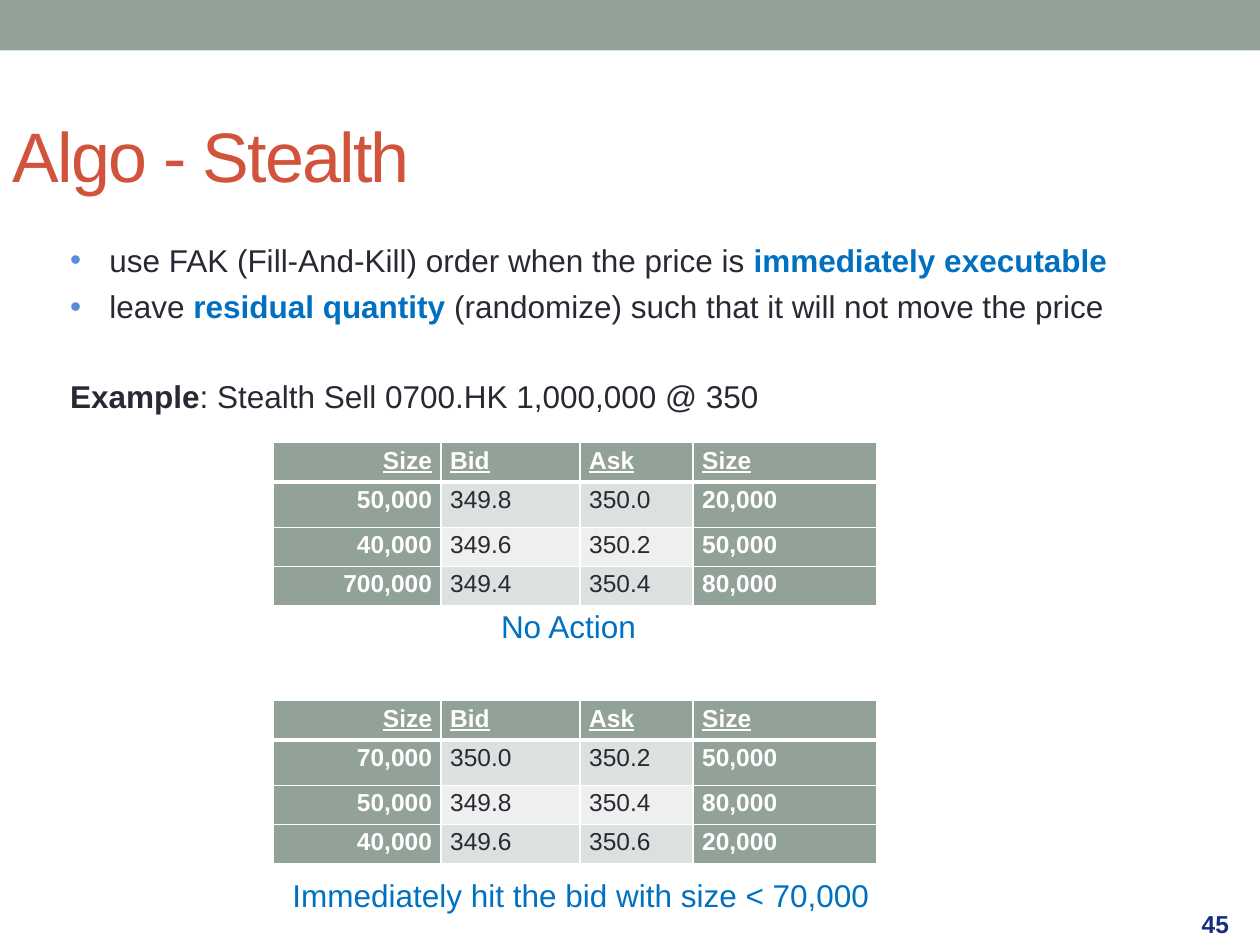
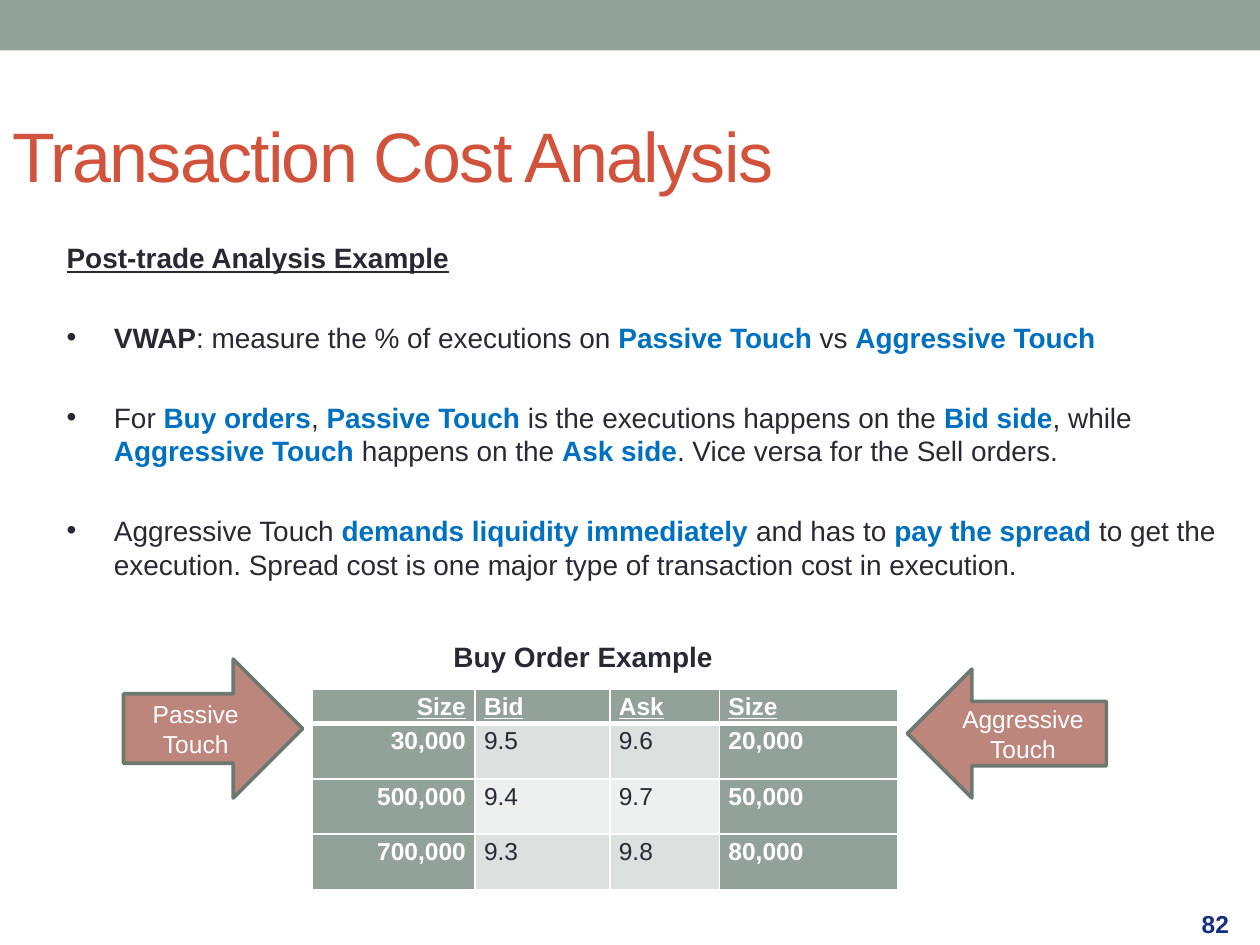
"""Build two slides on trading algorithms and transaction costs."""
from lxml import etree
from pptx import Presentation
from pptx import util as u
from pptx.dml.color import RGBColor
from pptx.enum import shapes, text
from pptx.oxml import ns

FONT = "Arial"
SAGE, RUST, INK, BLUE = "93A299", "D2533C", "292934", "0070C0"
NAVY, WHITE, BULLET = "152E82", "FFFFFF", "578CDA"
CLAY, SLATE, BANDS = "BD867C", "6D7871", ("DCE0DE", "EEF0EF")

KEY = dict(color=BLUE, bold=True)
STRONG = dict(bold=True)
HEADING = dict(bold=True, underline=True)
PLAIN = {}

BOOK_HEADER = ("Size", "Bid", "Ask", "Size")
BOOK_COLUMNS = (95.7, 79.4, 64.6, 105.1)

STEALTH = dict(
    title="Algo - Stealth",
    page="45",
    body=dict(box=(33, 134, 641, 104), size=18, hang=22.4, bullet_color=BULLET),
    points=[
        (0, True, [("use FAK (Fill-And-Kill) order when the price is ", PLAIN),
                   ("immediately executable", KEY)]),
        (5, True, [("leave ", PLAIN), ("residual quantity ", KEY),
                   ("(randomize) such that it will not move the price", PLAIN)]),
        (29.6, False, [("Example", STRONG),
                       (": Stealth Sell 0700.HK 1,000,000 @ 350", PLAIN)]),
    ],
    books=[
        dict(at=(156.4, 253), scale=1, heights=(22.4, 26, 22.4, 22.4), rows=[
            ("50,000", "349.8", "350.0", "20,000"),
            ("40,000", "349.6", "350.2", "50,000"),
            ("700,000", "349.4", "350.4", "80,000")]),
        dict(at=(156.4, 400.4), scale=1, heights=(22.4, 26, 22.4, 22.4), rows=[
            ("70,000", "350.0", "350.2", "50,000"),
            ("50,000", "349.8", "350.4", "80,000"),
            ("40,000", "349.6", "350.6", "20,000")]),
    ],
    captions=[
        ("No Action", (279.2, 343.6, 92.2, 29), dict(size=18, color=BLUE)),
        ("Immediately hit the bid with size < 70,000", (160, 497, 347, 29),
         dict(size=18, color=BLUE)),
    ],
    arrows=[],
)

COST = dict(
    title="Transaction Cost Analysis",
    page="82",
    body=dict(box=(31, 134, 680, 368), size=16, hang=27, bullet_color=INK),
    points=[
        (0, False, [("Post-trade Analysis Example", HEADING)]),
        (26.4, True, [("VWAP", STRONG), (": measure the % of executions on ", PLAIN),
                      ("Passive Touch", KEY), (" vs ", PLAIN), ("Aggressive Touch", KEY)]),
        (26.4, True, [("For ", PLAIN), ("Buy orders", KEY), (", ", PLAIN),
                      ("Passive Touch ", KEY),
                      ("is the executions happens on the ", PLAIN), ("Bid side", KEY),
                      (", while ", PLAIN), ("Aggressive Touch ", KEY),
                      ("happens on the ", PLAIN), ("Ask side", KEY),
                      (". Vice versa for the Sell orders.", PLAIN)]),
        (26.4, True, [("Aggressive Touch ", PLAIN), ("demands liquidity immediately ", KEY),
                      ("and has to ", PLAIN), ("pay the spread ", KEY),
                      ("to get the execution. Spread cost is one major type of "
                       "transaction cost in execution.", PLAIN)]),
    ],
    books=[
        dict(at=(178.6, 394), scale=0.97, heights=(17.8, 31.7, 31.7, 31.7), rows=[
            ("30,000", "9.5", "9.6", "20,000"),
            ("500,000", "9.4", "9.7", "50,000"),
            ("700,000", "9.3", "9.8", "80,000")]),
    ],
    captions=[("Buy Order Example", (252, 362.2, 164.2, 26.6),
               dict(size=16, color=INK, bold=True))],
    arrows=[
        ("Passive Touch", shapes.MSO_SHAPE.RIGHT_ARROW, (70.6, 376.6, 102.4, 79.4)),
        ("Aggressive Touch", shapes.MSO_SHAPE.LEFT_ARROW, (518.6, 382.4, 113.6, 73.6)),
    ],
)


def rgb(value):
    """Turn a hex string into a colour."""
    return RGBColor.from_string(value)


def points(values):
    """Convert numbers to lengths in points."""
    return [u.Pt(value) for value in values]


def write(paragraph, words, size=14, color=INK, bold=False, underline=False,
          align=text.PP_ALIGN.LEFT, spacing=None, before=0, tracking=None):
    """Add one formatted run to a paragraph."""
    paragraph.alignment = align
    paragraph.space_before = u.Pt(before)
    if spacing:
        paragraph.line_spacing = spacing
    run = paragraph.add_run()
    run.text = words
    font = run.font
    font.name, font.size, font.bold, font.underline = FONT, u.Pt(size), bold, underline
    font.color.rgb = rgb(color)
    if tracking:
        font._element.set("spc", str(tracking * 100))


def child(parent, tag, **attributes):
    """Append a drawing element to a parent."""
    return etree.SubElement(parent, ns.qn(f"a:{tag}"), attributes)


def hang_bullet(paragraph, hang, color):
    """Give a paragraph a hanging round bullet."""
    props = paragraph._p.get_or_add_pPr()
    props.set("marL", str(u.Pt(hang)))
    props.set("indent", str(-u.Pt(hang)))
    child(child(props, "buClr"), "srgbClr", val=color)
    child(props, "buFont", typeface=FONT)
    child(props, "buChar", char="•")


def paint(shape, fill, line=None, width=0):
    """Set flat fill and outline."""
    shape.shadow.inherit = False
    shape.fill.solid()
    shape.fill.fore_color.rgb = rgb(fill)
    if line:
        shape.line.color.rgb = rgb(line)
        shape.line.width = u.Pt(width)
    else:
        shape.line.fill.background()


def add_frame(slide, title, page):
    """Add the band, title and page number."""
    band = slide.shapes.add_shape(shapes.MSO_SHAPE.RECTANGLE, *points((0, 0, 720, 28.8)))
    paint(band, SAGE)
    heading = slide.shapes.title
    heading.left, heading.top, heading.width, heading.height = points((0, 49, 636, 78.4))
    frame = heading.text_frame
    frame.auto_size = text.MSO_AUTO_SIZE.NONE
    frame.vertical_anchor = text.MSO_ANCHOR.MIDDLE
    write(frame.paragraphs[0], title, size=40, color=RUST, tracking=-1)
    number = slide.shapes.add_textbox(*points((679.6, 514, 39.6, 28))).text_frame
    number.vertical_anchor = text.MSO_ANCHOR.MIDDLE
    write(number.paragraphs[0], page, color=NAVY, bold=True)


def add_body(slide, entries, box, size, hang, bullet_color):
    """Add the body text, bulleted where asked."""
    frame = slide.shapes.add_textbox(*points(box)).text_frame
    frame.word_wrap = True
    for index, (before, bulleted, runs) in enumerate(entries):
        paragraph = frame.add_paragraph() if index else frame.paragraphs[0]
        if bulleted:
            hang_bullet(paragraph, hang, bullet_color)
        for words, style in runs:
            write(paragraph, words, size=size, before=before, **style)


def border(cell, row):
    """Draw white cell borders, thick under the header."""
    props = cell._tc.get_or_add_tcPr()
    widths = dict(lnL=1, lnR=1, lnT=3 if row == 1 else 1, lnB=1 if row else 3)
    for place, (side, width) in enumerate(widths.items()):
        line = child(props, side, w=str(u.Pt(width)))
        child(child(line, "solidFill"), "srgbClr", val=WHITE)
        props.insert(place, line)


def add_book(slide, at, scale, heights, rows):
    """Add an order book table."""
    widths = [width * scale for width in BOOK_COLUMNS]
    grid = [BOOK_HEADER, *rows]
    book = slide.shapes.add_table(
        len(grid), len(widths), *points((*at, sum(widths), sum(heights)))).table
    for column, width in zip(book.columns, widths):
        column.width = u.Pt(width)
    for r, values in enumerate(grid):
        book.rows[r].height = u.Pt(heights[r])
        for c, value in enumerate(values):
            cell = book.cell(r, c)
            dark = r == 0 or c in (0, 3)
            cell.margin_left = cell.margin_right = u.Pt(5.2)
            cell.margin_top = cell.margin_bottom = 0
            cell.fill.solid()
            cell.fill.fore_color.rgb = rgb(SAGE if dark else BANDS[(r - 1) % 2])
            border(cell, r)
            write(cell.text_frame.paragraphs[0], value, bold=dark, underline=r == 0,
                  color=WHITE if dark else INK, spacing=1.15,
                  align=text.PP_ALIGN.LEFT if c else text.PP_ALIGN.RIGHT)


def add_arrow(slide, label, kind, box):
    """Add a labelled block arrow."""
    arrow = slide.shapes.add_shape(kind, *points(box))
    paint(arrow, CLAY, SLATE, 2.08)
    arrow.text_frame.word_wrap = True
    arrow.text_frame.vertical_anchor = text.MSO_ANCHOR.MIDDLE
    write(arrow.text_frame.paragraphs[0], label, color=WHITE, align=text.PP_ALIGN.CENTER)


def main():
    """Build and save the slides."""
    deck = Presentation()
    deck.slide_width, deck.slide_height = points((720, 540))
    for content in (STEALTH, COST):
        slide = deck.slides.add_slide(deck.slide_layouts[5])
        add_frame(slide, content["title"], content["page"])
        add_body(slide, content["points"], **content["body"])
        for book in content["books"]:
            add_book(slide, **book)
        for arrow in content["arrows"]:
            add_arrow(slide, *arrow)
        for words, box, style in content["captions"]:
            caption = slide.shapes.add_textbox(*points(box)).text_frame
            caption.word_wrap = False
            write(caption.paragraphs[0], words, **style)
    deck.save("out.pptx")


if __name__ == "__main__":
    main()
